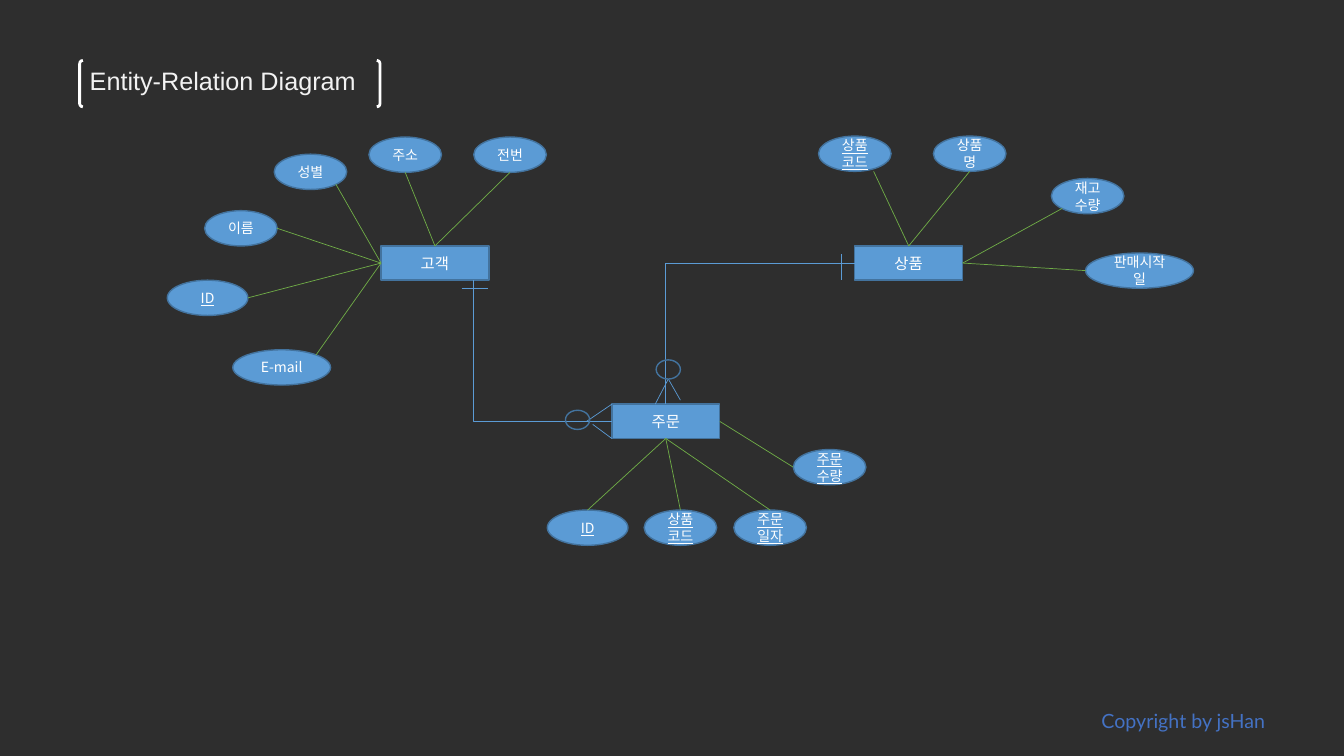
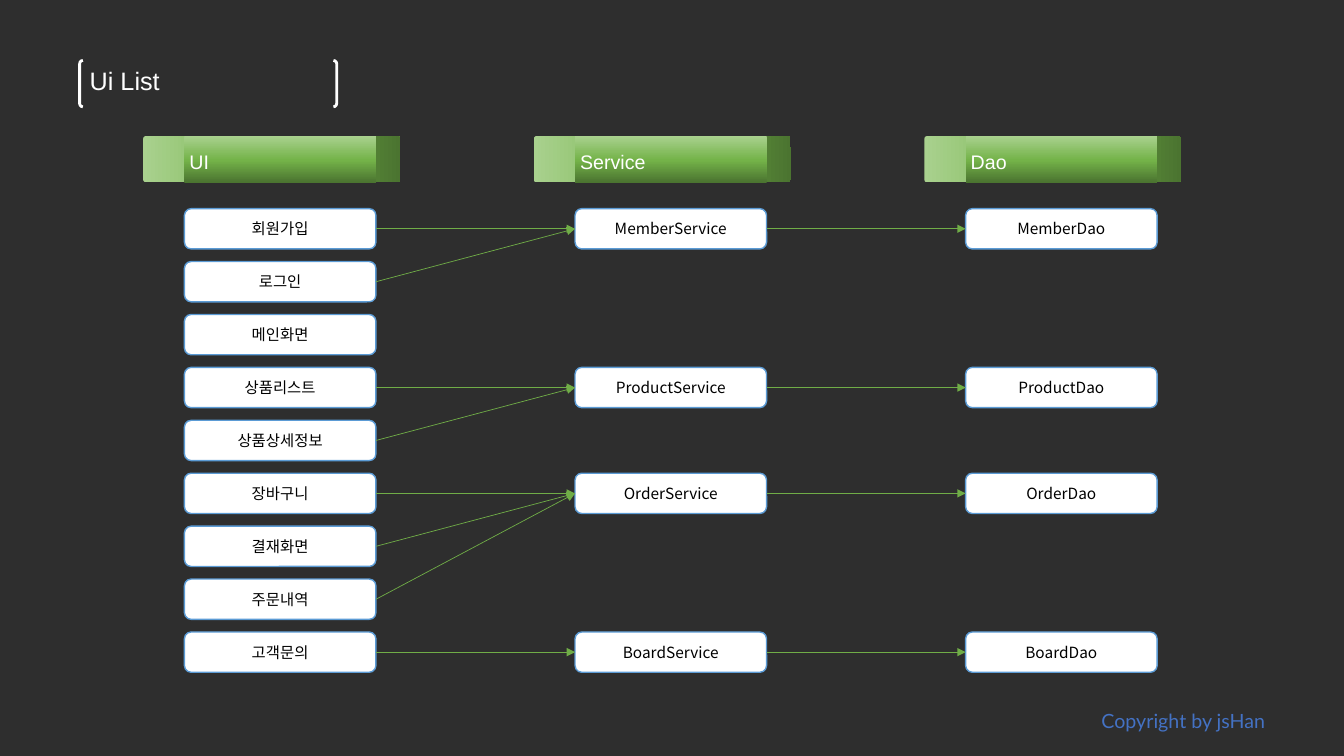
from copy import deepcopy

from lxml import etree
from pptx import Presentation
from pptx.dml.color import RGBColor
from pptx.enum.shapes import MSO_CONNECTOR, MSO_SHAPE
from pptx.enum.text import MSO_ANCHOR, MSO_AUTO_SIZE, PP_ALIGN
from pptx.oxml.ns import qn
from pptx.util import Inches, Pt

STRAIGHT, ELBOW = MSO_CONNECTOR.STRAIGHT, MSO_CONNECTOR.ELBOW
RECT, ROUND, OVAL = MSO_SHAPE.RECTANGLE, MSO_SHAPE.ROUNDED_RECTANGLE, MSO_SHAPE.OVAL
RING, PAIR = MSO_SHAPE.FLOWCHART_CONNECTOR, MSO_SHAPE.DOUBLE_BRACKET
TOP_EDGE, MIDDLE = MSO_ANCHOR.TOP, MSO_ANCHOR.MIDDLE
LEFT_ALIGN, CENTER = PP_ALIGN.LEFT, PP_ALIGN.CENTER
NO_FIT = MSO_AUTO_SIZE.NONE

DARK = RGBColor(0x2E, 0x2E, 0x2E)
WHITE = RGBColor(0xFF, 0xFF, 0xFF)
PALE = RGBColor(0xF2, 0xF2, 0xF2)
BLACK = RGBColor(0, 0, 0)
BLUE = RGBColor(0x5B, 0x9B, 0xD5)
EDGE = RGBColor(0x43, 0x73, 0x9E)
GREEN = RGBColor(0x70, 0xAD, 0x47)
INK = RGBColor(0x44, 0x72, 0xC4)
BAND = ((0, RGBColor(0xA9, 0xD1, 0x8E)), (0.52, RGBColor(0x74, 0xB3, 0x49)),
        (1, RGBColor(0x4B, 0x74, 0x30)))

# Text styles
KOREAN = "Noto Sans CJK KR"
HEAD = {"name": "Arial", "size": Pt(18)}
FOOT = {"name": "Lato", "size": Pt(14)}
LABEL = {"name": "Arial", "size": Pt(14)}
NODE = {"name": KOREAN, "size": Pt(11)}
ATTR = {"name": KOREAN, "size": Pt(10)}

# The grid has square cells of a tenth of an inch
COLS, ROWS = 133.33, 75
CELL = Inches(0.1)

# Connection sites of a rectangle
TOP, LEFT, BOTTOM, RIGHT = range(4)


def cells(*nums):
    return [round(n * CELL) for n in nums]


def shift(box, dx, dy):
    return box[0] + dx, box[1] + dy


def put(item, values):
    for key, value in values.items():
        setattr(item, key, value)


def write(shape, text, font, color, align=CENTER, **frame):
    put(shape.text_frame, {"word_wrap": True, "vertical_anchor": MIDDLE, **frame})
    para = shape.text_frame.paragraphs[0]
    para.alignment = align
    run = para.add_run()
    run.text = text
    put(run.font, font)
    run.font.color.rgb = color
    etree.SubElement(run.font._element, qn("a:ea"), typeface=font["name"])


def draw(shapes, kind, box, fill=None, edge=None, width=1):
    shape = shapes.add_shape(kind, *cells(*box))
    shape.shadow.inherit = False
    if fill is None:
        shape.fill.background()
    else:
        shape.fill.solid()
        shape.fill.fore_color.rgb = fill
    if edge is None:
        shape.line.fill.background()
    else:
        shape.line.color.rgb = edge
        shape.line.width = Pt(width)
    return shape


def join(slide, start, end, color, kind=STRAIGHT):
    line = slide.shapes.add_connector(kind, *cells(*start, *end))
    line.line.color.rgb = color
    line.line.width = Pt(0.5)
    etree.SubElement(line._element.spPr, qn("a:effectLst"))
    return line


def arrow(slide, first, last):
    line = join(slide, (0, 0), (0, 0), GREEN)
    line.begin_connect(first, RIGHT)
    line.end_connect(last, LEFT)
    etree.SubElement(line.line._get_or_add_ln(), qn("a:tailEnd"), type="triangle")


def bend(slide, start, end):
    """One corner: across first, then up or down."""
    line = join(slide, start, end, BLUE, ELBOW)
    line._element.spPr.find(qn("a:prstGeom")).set("prst", "bentConnector2")


def shade(shape, angle):
    shape.fill.gradient()
    stops = shape._element.spPr.find(".//" + qn("a:gsLst"))
    stops.append(deepcopy(stops[0]))
    for stop, (place, color) in zip(shape.fill.gradient_stops, BAND):
        stop.position = place
        stop.color.rgb = color
    shape.fill.gradient_angle = angle


# Frame shared by the slides: bracketed title and footer
def page(deck, title, box, color):
    slide = deck.slides.add_slide(deck.slide_layouts[5])
    head = slide.shapes.title
    put(head, dict(zip(("left", "top", "width", "height"), cells(*box))))
    write(head, title, HEAD, color, LEFT_ALIGN,
          vertical_anchor=TOP_EDGE, auto_size=NO_FIT)
    pair = draw(slide.shapes, PAIR, box, edge=WHITE, width=2)
    pair.adjustments[0] = 0.07
    foot = slide.shapes.add_textbox(*cells(COLS - 26.73, ROWS - 6.6, 21.6, 6.2))
    write(foot, "Copyright by jsHan", FOOT, INK)
    return slide


# Entity with its attributes, placed from the entity's corner:
# text, dx, dy, width, is key, entity side, share of the oval where the line ends
CLIENT = (37.8, 24.4, 10.7, 3.4)
GOODS = (84.8, 24.4, 10.7, 3.4)
ORDER = (60.7, 40.1, 10.7, 3.4)
ENTITIES = (
    ("고객", CLIENT, (
        ("성별", -10.6, -9.1, 7.2, False, LEFT, (0.85, 0.85)),
        ("이름", -17.5, -3.5, 7.2, False, LEFT, (1, 0.5)),
        ("주소", -1.2, -10.8, 7.2, False, TOP, (0.5, 1)),
        ("전번", 9.2, -10.8, 7.2, False, TOP, (0.5, 1)),
        ("ID", -21.2, 3.4, 8, True, LEFT, (1, 0.5)),
        ("E-mail", -14.7, 10.3, 9.7, False, LEFT, (0.85, 0.15)))),
    ("상품", GOODS, (
        ("상품코드", -3.6, -10.9, 7.2, True, TOP, (0.76, 1)),
        ("상품명", 7.8, -10.9, 7.2, False, TOP, (0.5, 1)),
        ("재고수량", 19.5, -6.7, 7.2, False, RIGHT, (0.15, 0.85)),
        ("판매시작일", 22.9, 0.7, 10.7, False, RIGHT, (0, 0.5)))),
    ("주문", ORDER, (
        ("ID", -6.4, 10.5, 8, True, BOTTOM, (0.5, 0)),
        ("상품코드", 3.2, 10.5, 7.2, True, BOTTOM, (0.5, 0)),
        ("주문일자", 12.1, 10.5, 7.2, True, BOTTOM, (0.5, 0)),
        ("주문수량", 18, 4.5, 7.2, True, RIGHT, (0, 0.5)))),
)


def entity(slide, box, name, attrs):
    node = draw(slide.shapes, RECT, box, BLUE, EDGE)
    write(node, name, NODE, WHITE)
    high = 3.5
    for text, dx, dy, wide, key, side, (across, down) in attrs:
        spot = shift(box, dx, dy)
        oval = draw(slide.shapes, OVAL, (*spot, wide, high), BLUE, EDGE)
        write(oval, text, {**ATTR, "underline": key or None}, WHITE)
        end = shift(spot, across * wide, down * high)
        join(slide, end, end, GREEN).begin_connect(node, side)


# Relations, with bars for "one" and crow's feet for "many"
MARKS = (
    (CLIENT, (8, 4.2), (10.6, 4.2)),
    (GOODS, (-1.3, 0.8), (-1.3, 3.4)),
    (ORDER, (-2.5, 1.7), (0, 0)),
    (ORDER, (-1.9, 2), (0, 3.4)),
    (ORDER, (5.6, -2.5), (4.3, 0)),
    (ORDER, (5.6, -2.5), (6.8, -0.4)),
)


def links(slide):
    bend(slide, shift(ORDER, 0, 1.7), shift(CLIENT, 9.2, 3.4))
    bend(slide, shift(GOODS, 0, 1.7), shift(ORDER, 5.3, 0))
    for box, start, end in MARKS:
        join(slide, shift(box, *start), shift(box, *end), BLUE)
    for spot in ((-4.6, 0.6), (4.4, -4.4)):
        draw(slide.shapes, RING, (*shift(ORDER, *spot), 2.4, 1.9), edge=EDGE)


# Screens, and the service and data object behind them
FLOWS = (
    ("Member", ("회원가입", "로그인")),
    (None, ("메인화면",)),
    ("Product", ("상품리스트", "상품상세정보")),
    ("Order", ("장바구니", "결재화면", "주문내역")),
    ("Board", ("고객문의",)),
)
WIDE, STEP, PITCH = 19, 38.75, 5.25


def banner(slide, box, text):
    left, top, wide, high = box
    group = slide.shapes.add_group_shape()
    back = draw(group.shapes, ROUND, box)
    back.adjustments[0] = 0.06
    shade(back, 0)
    front = draw(group.shapes, RECT, (left + 4.1, top, WIDE, high))
    shade(front, 270)
    write(front, text, LABEL, WHITE, LEFT_ALIGN, vertical_anchor=TOP_EDGE,
          margin_left=Inches(0.05), margin_top=Inches(0.16),
          margin_right=0, margin_bottom=0)
    front.text_frame.paragraphs[0].line_spacing = 0.9


def flow(slide, left, top):
    def card(col, row, text):
        box = (left + col * STEP, top + row * PITCH, WIDE, 4)
        shape = draw(slide.shapes, ROUND, box, WHITE, BLUE)
        write(shape, text, NODE, BLACK)
        return shape

    row = 0
    for stem, names in FLOWS:
        screens = [card(0, row + i, name) for i, name in enumerate(names)]
        if stem:
            service = card(1, row, stem + "Service")
            for screen in screens:
                arrow(slide, screen, service)
            arrow(slide, service, card(2, row, stem + "Dao"))
        row += len(names)


deck = Presentation()
deck.slide_width, deck.slide_height = cells(COLS, ROWS)
ground = deck.slide_master.background.fill
ground.solid()
ground.fore_color.rgb = DARK

chart = page(deck, "Entity-Relation Diagram", (7.9, 6, 29.8, 4.6), PALE)
for name, box, attrs in ENTITIES:
    entity(chart, box, name, attrs)
links(chart)

screens = page(deck, "Ui List", (7.9, 6, 25.5, 4.6), WHITE)
for col, text in enumerate(("UI", "Service", "Dao")):
    banner(screens, (14.2 + col * STEP, 13.5, 25.5, 4.6), text)
flow(screens, 18.3, 20.7)

deck.save("out.pptx")
